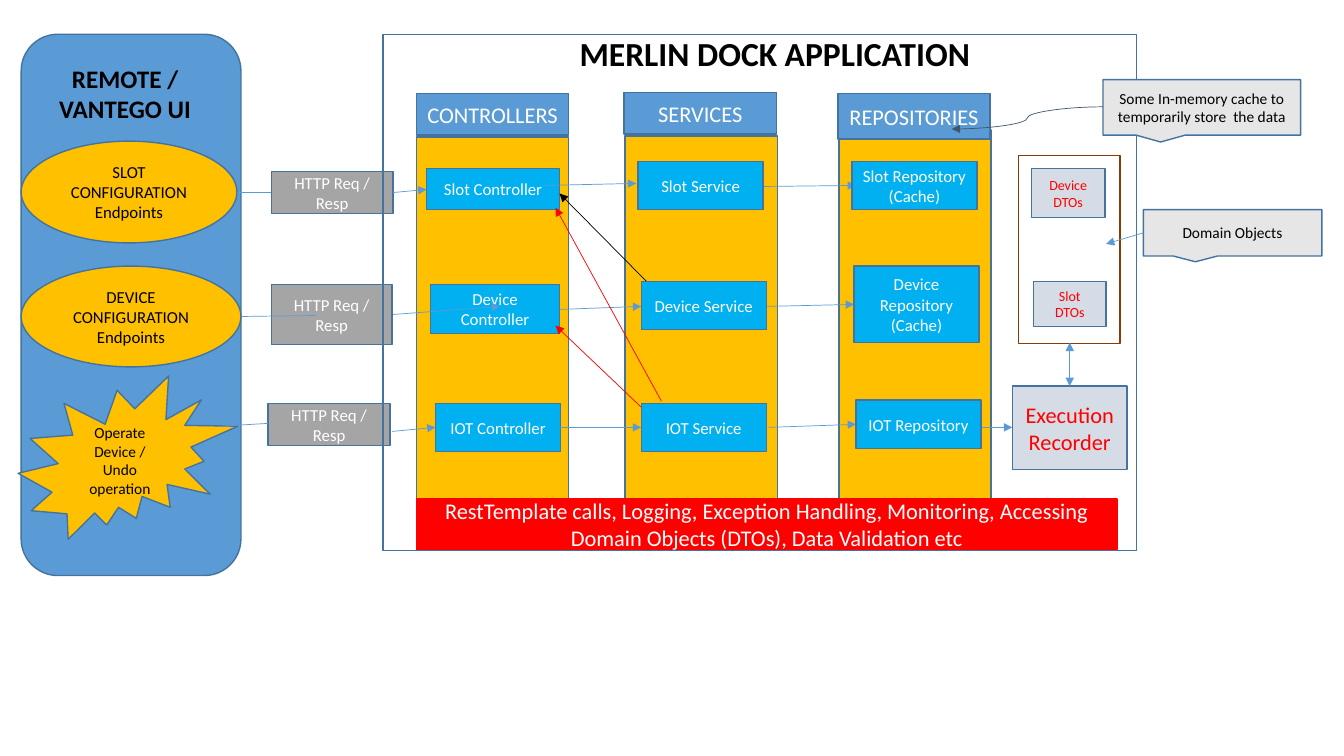
from lxml import etree
from pptx import Presentation
from pptx.dml.color import RGBColor
from pptx.enum.shapes import MSO_CONNECTOR, MSO_SHAPE
from pptx.enum.text import MSO_ANCHOR, PP_ALIGN
from pptx.oxml.ns import qn
from pptx.util import Inches, Pt

RECTANGLE = MSO_SHAPE.RECTANGLE
ROUNDED = MSO_SHAPE.ROUNDED_RECTANGLE
OVAL = MSO_SHAPE.OVAL
BURST = MSO_SHAPE.EXPLOSION2
CALLOUT = MSO_SHAPE.RECTANGULAR_CALLOUT
STRAIGHT, CURVE = MSO_CONNECTOR.STRAIGHT, MSO_CONNECTOR.CURVE
MIDDLE, CENTER = MSO_ANCHOR.MIDDLE, PP_ALIGN.CENTER

BLUE, OUTLINE, AMBER, CYAN = "5B9BD5", "43739E", "FFC000", "00B0F0"
GRAY, PALE_GRAY, PALE_BLUE = "A5A5A5", "E7E6E6", "D6DCE5"
RED, BROWN, SLATE, BLACK, WHITE = "FF0000", "843C0B", "44546A", "000000", "FFFFFF"

# style: preset, fill, line colour, text size, text colour
STYLES = {
    "client": (ROUNDED, BLUE, OUTLINE, 18, BLACK),
    "application": (RECTANGLE, None, OUTLINE, 24, BLACK),
    "panel": (RECTANGLE, AMBER, OUTLINE, 12, BLACK),
    "header": (RECTANGLE, BLUE, OUTLINE, 16, WHITE),
    "component": (RECTANGLE, CYAN, OUTLINE, 12, WHITE),
    "request": (RECTANGLE, GRAY, OUTLINE, 12, WHITE),
    "endpoint": (OVAL, AMBER, OUTLINE, 12, BLACK),
    "operation": (BURST, AMBER, OUTLINE, 11, BLACK),
    "recorder": (RECTANGLE, PALE_BLUE, OUTLINE, 16, RED),
    "dto": (RECTANGLE, PALE_BLUE, OUTLINE, 10, RED),
    "dto group": (RECTANGLE, None, BROWN, 10, RED),
    "concerns": (RECTANGLE, RED, RED, 16, WHITE),
    "note": (CALLOUT, PALE_GRAY, OUTLINE, 11, BLACK),
}

# Boxes are (left, top, width, height) in inches
CLIENT = (0.21, 0.34, 2.18, 5.37)
APPLICATION = (3.8, 0.34, 7.47, 5.12)
TITLES = [
    ("REMOTE / VANTEGO UI", (0.37, 0.57, 1.74, 0.71), 18),
    ("MERLIN DOCK APPLICATION", (5.49, 0.31, 4.39, 0.44), 24),
]

PANEL_WIDTH, PANEL_HEIGHT = 1.51, 3.74
# layer: left, panel top, header (name, left, top, height), components
LAYERS = [
    (4.13, 1.36, ("CONTROLLERS", 4.13, 0.93, 0.41), [
        ("Slot Controller", (4.23, 1.67, 1.32, 0.41)),
        ("Device Controller", (4.27, 2.82, 1.28, 0.49)),
        ("IOT Controller", (4.32, 4, 1.24, 0.48))]),
    (6.2, 1.35, ("SERVICES", 6.19, 0.92, 0.41), [
        ("Slot Service", (6.33, 1.6, 1.24, 0.48)),
        ("Device Service", (6.36, 2.79, 1.24, 0.48)),
        ("IOT Service", (6.36, 4, 1.24, 0.48))]),
    (8.32, 1.29, ("REPOSITORIES", 8.31, 0.93, 0.45), [
        ("Slot Repository (Cache)", (8.45, 1.6, 1.24, 0.48)),
        ("Device Repository (Cache)", (8.47, 2.64, 1.24, 0.76)),
        ("IOT Repository", (8.49, 3.97, 1.24, 0.48))]),
]

REQUEST_LABEL = "HTTP Req / Resp"
REQUESTS = [(2.69, 1.7, 1.21, 0.42), (2.69, 2.82, 1.2, 0.6), (2.66, 4, 1.21, 0.42)]

PARTS = [
    ("endpoint", "SLOT CONFIGURATION Endpoints", (0.21, 1.4, 2.14, 1.01)),
    ("endpoint", "DEVICE CONFIGURATION Endpoints", (0.21, 2.64, 2.18, 1)),
    ("operation", "Operate Device / Undo operation", (0.18, 3.73, 2.18, 1.62)),
    ("recorder", "Execution Recorder", (10.04, 3.83, 1.14, 0.83)),
    ("concerns", "RestTemplate calls, Logging, Exception Handling, Monitoring, "
                 "Accessing Domain Objects (DTOs), Data Validation etc",
     (4.13, 4.95, 6.95, 0.5)),
    ("dto", "Device DTOs", (10.23, 1.67, 0.73, 0.49)),
    ("dto", "Slot DTOs", (10.25, 2.79, 0.72, 0.45)),
    ("dto group", "", (10.1, 1.54, 1.01, 1.87)),
    ("note", "Some In-memory cache to temporarily store  the data",
     (10.94, 0.79, 1.96, 0.55)),
    ("note", "Domain Objects", (11.34, 2.08, 1.77, 0.46)),
]

# Lines are (start, end)
ENDPOINT_LINKS = [
    ((2.35, 1.91), (2.69, 1.91)),
    ((3.13, 3.13), (2.39, 3.14)),
    ((2.16, 4.23), (2.66, 4.2)),
]
FLOWS = [
    ((3.9, 1.91), (4.23, 1.88)), ((5.39, 1.84), (6.31, 1.82)), ((7.57, 1.85), (8.49, 1.84)),
    ((3.9, 3.12), (4.96, 3.04)), ((5.55, 3.07), (6.36, 3.04)), ((7.6, 3.04), (8.47, 3.02)),
    ((3.89, 4.28), (4.32, 4.24)), ((5.55, 4.24), (6.36, 4.24)), ((7.62, 4.24), (8.49, 4.21)),
    ((9.72, 4.24), (10.04, 4.24)), ((11.34, 2.31), (10.97, 2.42)),
]
CALLBACKS = [
    ((6.36, 4.04), (5.51, 3.23), RED),
    ((6.56, 3.98), (5.51, 2.06), RED),
    ((6.41, 2.79), (5.55, 1.92), BLACK),
]
RECORDER_LINK = ((10.61, 3.4), (10.61, 3.83))
CACHE_POINTER = ((10.94, 1.06), (9.44, 1.28))


def color(value):
    return RGBColor.from_string(value)


def write(shape, text, size, text_color, bold=False):
    frame = shape.text_frame
    frame.word_wrap = True
    frame.vertical_anchor = MIDDLE
    paragraph = frame.paragraphs[0]
    paragraph.alignment = CENTER
    run = paragraph.add_run()
    run.text = text
    run.font.name = "Calibri"
    run.font.size = Pt(size)
    run.font.bold = bold
    run.font.color.rgb = color(text_color)


def add_part(slide, style, text, box):
    preset, fill, line, size, text_color = STYLES[style]
    shape = slide.shapes.add_shape(preset, *map(Inches, box))
    shape.shadow.inherit = False
    if fill:
        shape.fill.solid()
        shape.fill.fore_color.rgb = color(fill)
    else:
        shape.fill.background()
    shape.line.color.rgb = color(line)
    shape.line.width = Pt(1)
    if text:
        write(shape, text, size, text_color)


def add_line(slide, start, end, line_color=BLUE, arrows=("tailEnd",), kind=STRAIGHT):
    """Draw a thin connector; arrows lists headEnd (start) and tailEnd (end)."""
    connector = slide.shapes.add_connector(kind, *map(Inches, start + end))
    connector.line.color.rgb = color(line_color)
    connector.line.width = Pt(0.5)
    line = connector.line._get_or_add_ln()
    for arrow in arrows:
        etree.SubElement(line, qn("a:" + arrow), type="triangle")
    etree.SubElement(connector._element.spPr, qn("a:effectLst"))


def add_layer_components(slide, layer):
    for name, box in layer[3]:
        add_part(slide, "component", name, box)


def main():
    presentation = Presentation()
    presentation.slide_width = Inches(13.33)
    presentation.slide_height = Inches(7.5)
    slide = presentation.slides.add_slide(presentation.slide_layouts[6])

    add_part(slide, "client", "", CLIENT)
    for left, top, (name, header_left, header_top, header_height), _ in LAYERS:
        add_part(slide, "panel", "", (left, top, PANEL_WIDTH, PANEL_HEIGHT))
        add_part(slide, "header", name,
                 (header_left, header_top, PANEL_WIDTH, header_height))
    for box in REQUESTS:
        add_part(slide, "request", REQUEST_LABEL, box)
    controllers, *later_layers = LAYERS
    add_layer_components(slide, controllers)
    add_part(slide, "application", "", APPLICATION)
    for style, text, box in PARTS:
        add_part(slide, style, text, box)

    for start, end in ENDPOINT_LINKS:
        add_line(slide, start, end, arrows=())
    for start, end in FLOWS:
        add_line(slide, start, end)
    for layer in later_layers:
        add_layer_components(slide, layer)
    for start, end, line_color in CALLBACKS:
        add_line(slide, start, end, line_color)
    add_line(slide, *RECORDER_LINK, arrows=("headEnd", "tailEnd"))
    add_line(slide, *CACHE_POINTER, SLATE, kind=CURVE)

    for text, box, size in TITLES:
        title = slide.shapes.add_textbox(*map(Inches, box))
        write(title, text, size, BLACK, bold=True)

    presentation.save("out.pptx")


if __name__ == "__main__":
    main()
